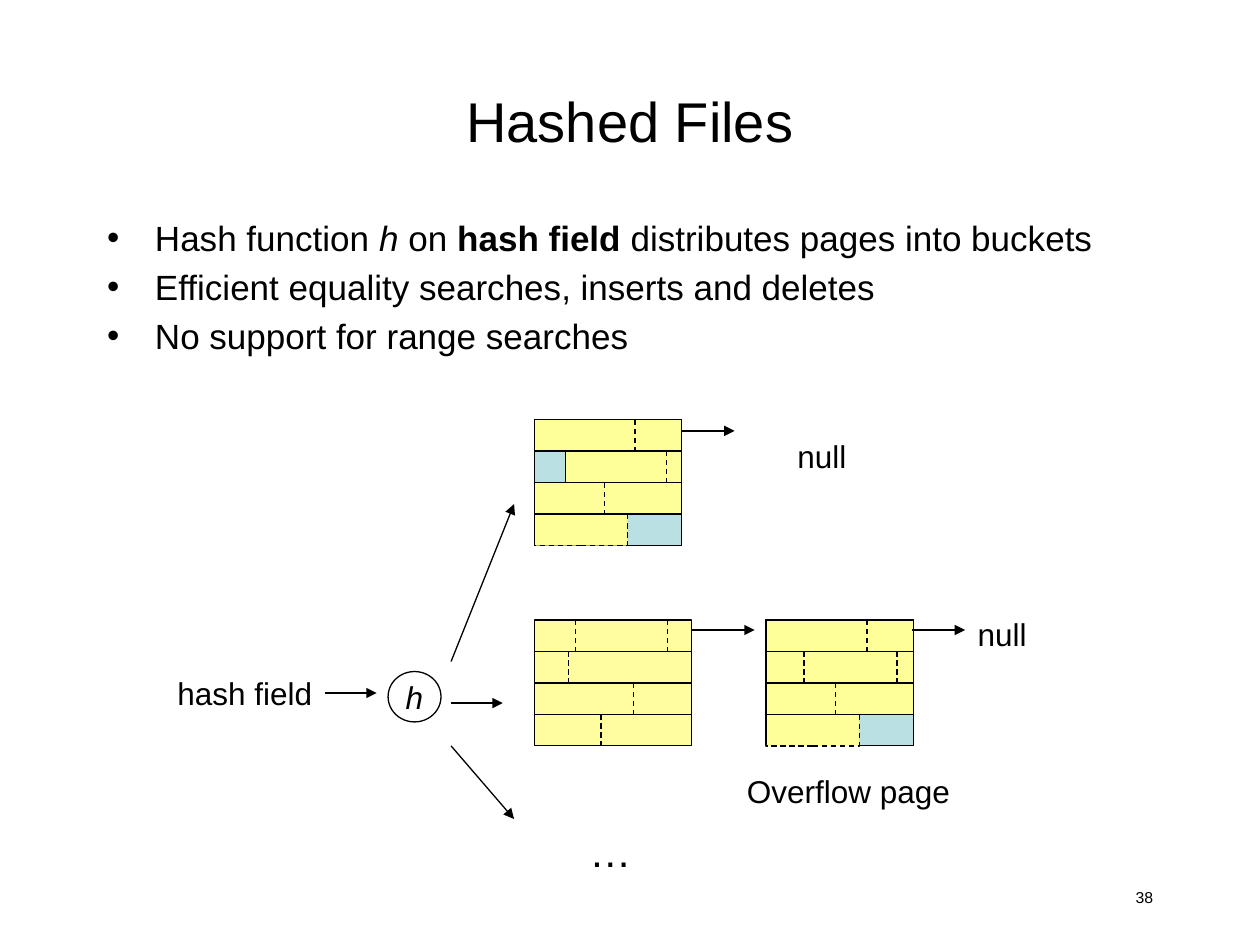
import pptx
import pptx.util
import pptx.dml.color
import pptx.enum.dml
import pptx.enum.shapes
import pptx.enum.text
import pptx.oxml.ns
import lxml.etree

Inches = pptx.util.Inches
Pt = pptx.util.Pt
Shape = pptx.enum.shapes.MSO_SHAPE
Align = pptx.enum.text.PP_ALIGN
Anchor = pptx.enum.text.MSO_ANCHOR

COLOURS = {"ink": "000000", "free": "BBE0E3", "record": "FFFF99", "full": "FFFDA0"}
ROW = 0.25
PAGE_HEIGHT = 4 * ROW


def colour(name):
    """Return the named colour."""
    return pptx.dml.color.RGBColor.from_string(COLOURS[name])


def set_font(para, size):
    """Set the common text font of a paragraph."""
    para.font.name = "Arial"
    para.font.size = Pt(size)
    para.font.color.rgb = colour("ink")


def set_line(item, dashed=False):
    """Give a shape or connector a thin black line."""
    item.line.color.rgb = colour("ink")
    item.line.width = Pt(0.75)
    if dashed:
        item.line.dash_style = pptx.enum.dml.MSO_LINE.DASH


def add_line(slide, start, end, dashed=False, arrow=False):
    """Draw a straight line, with an optional arrowhead at its end."""
    line = slide.shapes.add_connector(
        pptx.enum.shapes.MSO_CONNECTOR.STRAIGHT, *map(Inches, (*start, *end)))
    set_line(line, dashed)
    name = pptx.oxml.ns.qn
    if arrow:
        lxml.etree.SubElement(line.line._get_or_add_ln(), name("a:tailEnd"), type="triangle")
    lxml.etree.SubElement(line._element.spPr, name("a:effectLst"))


def add_box(slide, kind, place, fill=None, dashed=False):
    """Draw an outlined shape, filled when a colour is named."""
    box = slide.shapes.add_shape(kind, *map(Inches, place))
    box.shadow.inherit = False
    if fill:
        box.fill.solid()
        box.fill.fore_color.rgb = colour(fill)
    else:
        box.fill.background()
    set_line(box, dashed)
    return box


def add_label(slide, text, place, size=18, wrap=False):
    """Add a text box and return its paragraph."""
    box = slide.shapes.add_textbox(*map(Inches, place))
    box.text_frame.word_wrap = wrap
    para = box.text_frame.paragraphs[0]
    para.text = text
    set_font(para, size)
    return para


def place_holder(holder, left, top, width, height):
    """Move a placeholder and return its text frame."""
    holder.left, holder.top = Inches(left), Inches(top)
    holder.width, holder.height = Inches(width), Inches(height)
    return holder.text_frame


def add_bullets(frame, items):
    """Fill a text frame with bullets made of (text, style) spans."""
    for number, spans in enumerate(items):
        para = frame.add_paragraph() if number else frame.paragraphs[0]
        set_font(para, 20)
        para._p.get_or_add_pPr().set("marL", str(Inches(0.38)))
        para._p.get_or_add_pPr().set("indent", str(Inches(-0.38)))
        for text, style in spans:
            span = para.add_run()
            span.text = text
            if style:
                setattr(span.font, style, True)


def add_page(slide, left, top, width, fill, records=(), edges=(), splits=()):
    """Draw a four-row page with records, solid edges and dashed field splits."""
    add_box(slide, Shape.RECTANGLE, (left, top, width, PAGE_HEIGHT), fill)
    for row, offset, length, dashed in records:
        place = (left + offset, top + row * ROW, length, ROW)
        add_box(slide, Shape.RECTANGLE, place, "record", dashed)
    for x1, row1, x2, row2 in edges:
        add_line(slide, (left + x1, top + row1 * ROW), (left + x2, top + row2 * ROW))
    for row, offset in splits:
        x, y = left + offset, top + row * ROW
        add_line(slide, (x, y), (x, y + ROW), dashed=True)


def add_pages(slide):
    """Draw the bucket pages and the overflow page."""
    left_edge = [(0, 3, 0, 4)]
    add_page(slide, 4.24, 3.33, 1.17, "free",
             [(0, 0, 1.17, False), (1, 0.25, 0.92, False),
              (3, 0, 0.74, True), (2, 0, 1.17, False)],
             left_edge, [(0, 0.8), (1, 1.05), (2, 0.56)])
    add_page(slide, 4.24, 4.92, 1.25, "full",
             edges=[(0, row, 1.25, row) for row in (1, 2, 3)],
             splits=[(0, 0.33), (0, 1.06), (1, 0.27), (2, 0.79), (3, 0.53)])
    add_page(slide, 6.08, 4.92, 1.17, "free",
             [(0, 0, 1.17, False), (1, 0, 1.17, False),
              (3, 0, 0.74, True), (2, 0, 1.17, False)],
             left_edge, [(0, 0.8), (1, 0.3), (1, 1.04), (2, 0.55)])


def add_hash_function(slide):
    """Draw the circle that stands for the hash function."""
    circle = add_box(slide, Shape.OVAL, (3.08, 5.33, 0.42, 0.4))
    frame = circle.text_frame
    frame.word_wrap = False
    frame.vertical_anchor = Anchor.MIDDLE
    para = frame.paragraphs[0]
    para.text = "h"
    para.alignment = Align.CENTER
    set_font(para, 18)
    para.font.italic = True


def main():
    """Build and save the slide."""
    deck = pptx.Presentation()
    deck.slide_width, deck.slide_height = Inches(10), Inches(7.5)
    slide = deck.slides.add_slide(deck.slide_layouts[1])

    title = place_holder(slide.shapes.title, 0.75, 0.33, 8.5, 1.25)
    title.text = "Hashed Files"
    title.vertical_anchor = Anchor.MIDDLE
    title.paragraphs[0].alignment = Align.CENTER
    set_font(title.paragraphs[0], 32)

    body = place_holder(slide.placeholders[1], 0.75, 1.67, 8.5, 5.17)
    add_bullets(body, [
        [("Hash function ", None), ("h ", "italic"), ("on ", None),
         ("hash field", "bold"), (" distributes pages into buckets", None)],
        [("Efficient equality searches, inserts and deletes", None)],
        [("No support for range searches", None)],
    ])

    add_pages(slide)
    add_hash_function(slide)
    for start, end in [
        ((2.58, 5.5), (2.99, 5.5)),
        ((3.58, 5.25), (4.08, 4)),
        ((3.58, 5.58), (3.99, 5.58)),
        ((3.58, 5.92), (4.08, 6.5)),
        ((5.41, 3.42), (5.83, 3.42)),
        ((5.49, 5), (5.99, 5)),
        ((7.24, 5), (7.66, 5)),
    ]:
        add_line(slide, start, end, arrow=True)

    add_label(slide, "null", (6.23, 3.42, 0.59, 0.4))
    add_label(slide, "null", (7.66, 4.83, 0.59, 0.4))
    add_label(slide, "hash field", (1.31, 5.3, 1.27, 0.4))
    add_label(slide, "…", (4.58, 6.5, 0.53, 0.5), size=24)
    add_label(slide, "Overflow page", (5.83, 6.08, 1.98, 0.4), wrap=True)
    number = add_label(slide, "38", (7.17, 7, 2.08, 0.33), size=9, wrap=True)
    number.alignment = Align.RIGHT

    deck.save("out.pptx")


main()
